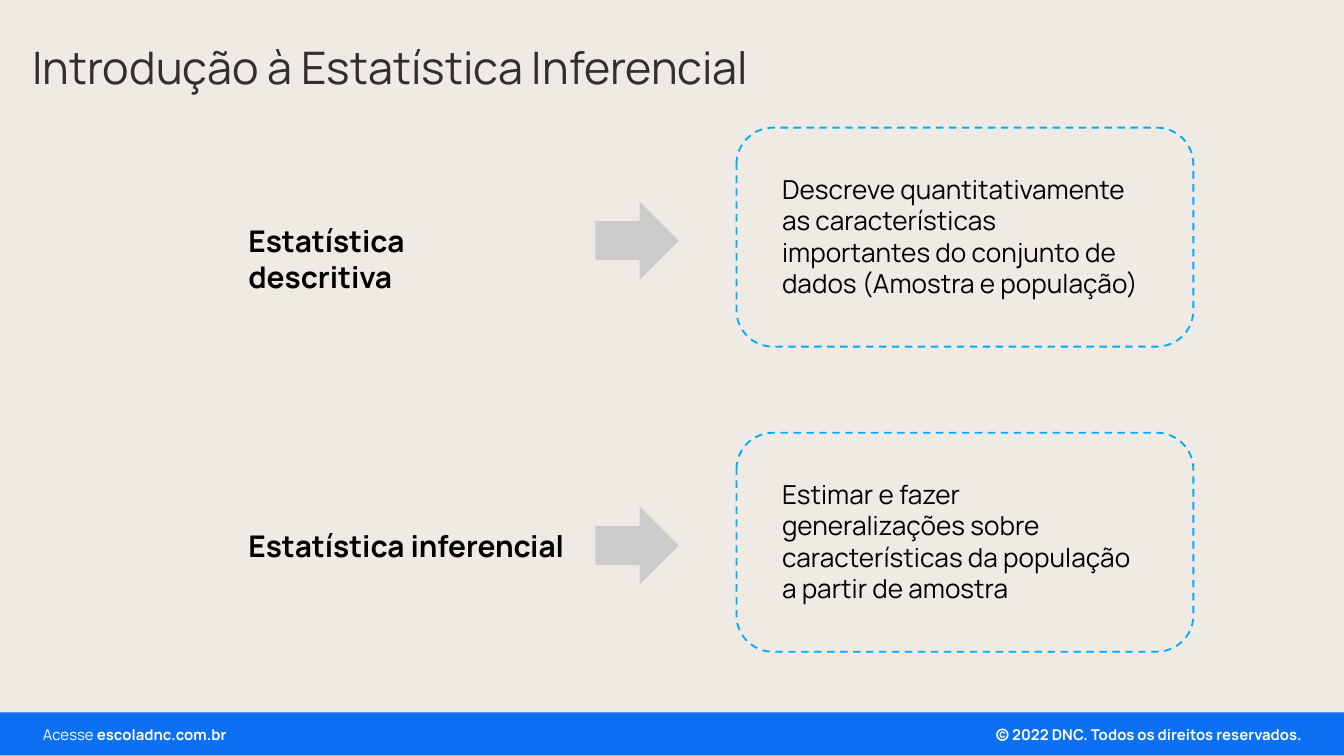
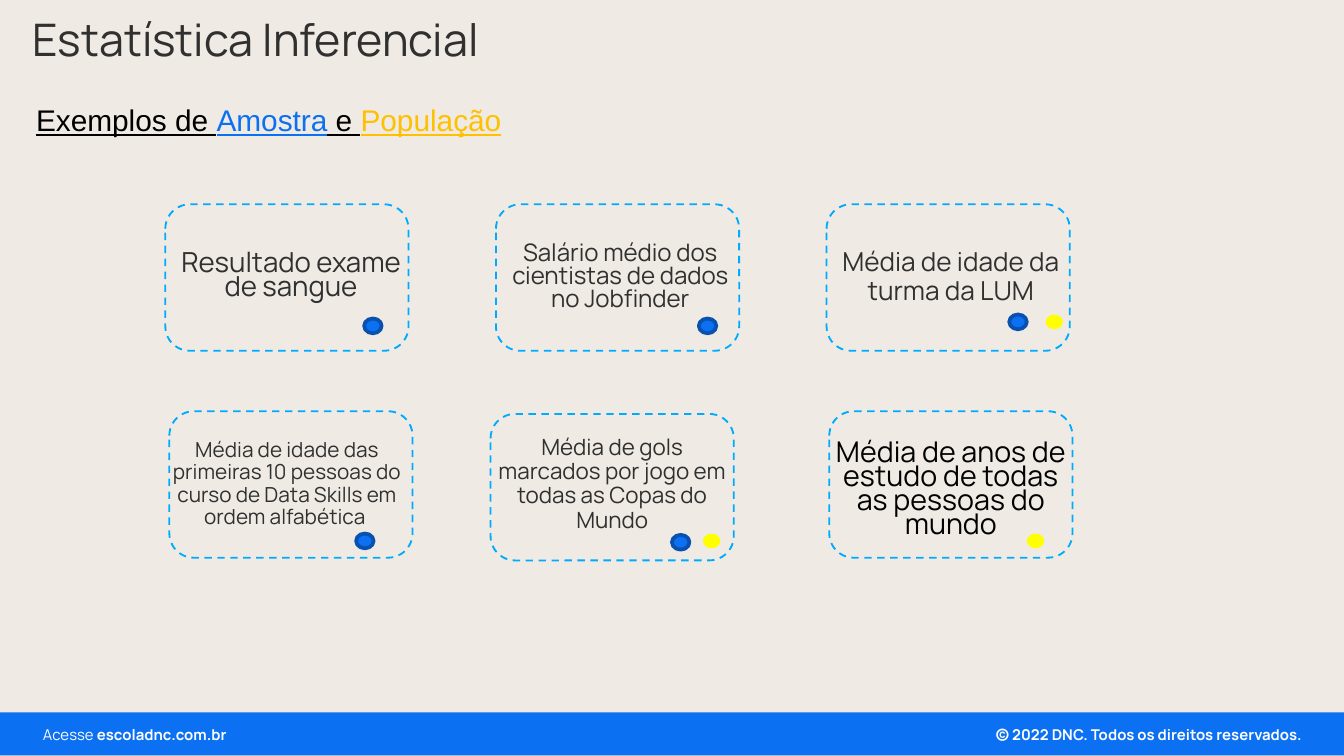
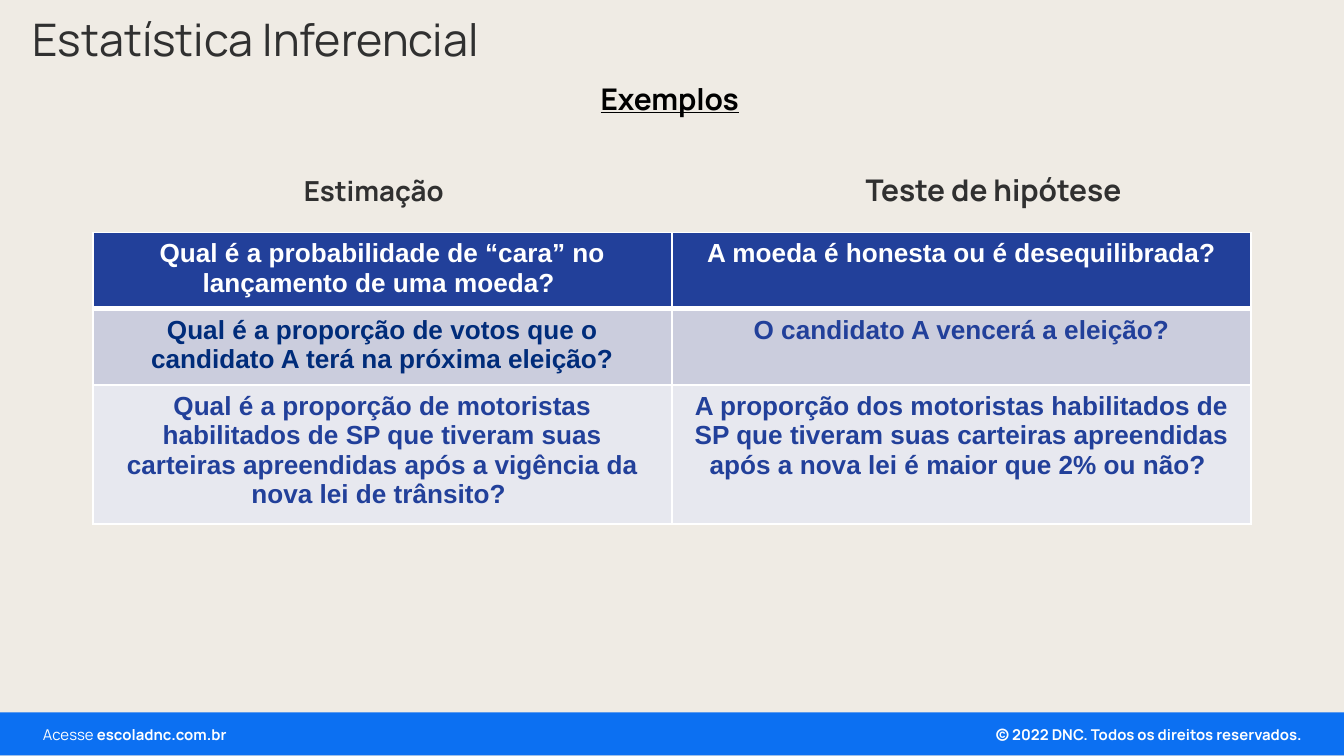
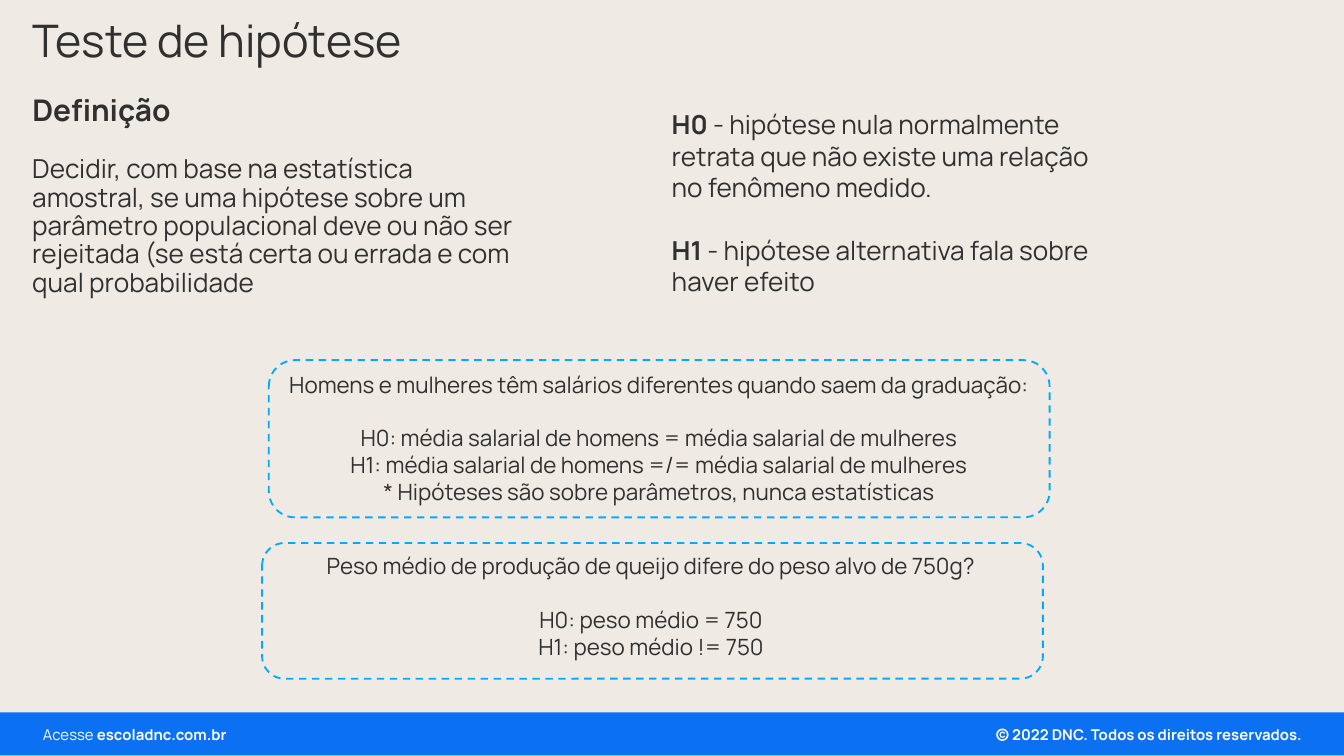
from lxml import etree
from pptx import Presentation
from pptx.dml.color import RGBColor
from pptx.enum.dml import MSO_LINE
from pptx.enum.shapes import MSO_SHAPE as SHAPE
from pptx.enum.text import MSO_ANCHOR as ANCHOR, MSO_AUTO_SIZE as AUTO, PP_ALIGN as ALIGN
from pptx.oxml.ns import qn
from pptx.util import Inches, Pt

FONT = "Manrope"
BG, BLUE, DARK, BLACK, WHITE = "EFEBE4", "0C70F2", "303030", "000000", "FFFFFF"
CYAN, GRAY, NAVY, YELLOW, GOLD = "00ABFF", "CBCBCB", "22409A", "FFFF00", "FFC000"
LINE_HEIGHT = 1.2


def rgb(value):
    return RGBColor.from_string(value)


def place(sp, left, top, width, height):
    sp.left, sp.top = Inches(left), Inches(top)
    sp.width, sp.height = Inches(width), Inches(height)


def style_font(font, size=None, color=None, bold=None, underline=None, name=None):
    if size:
        font.size = Pt(size)
    if color:
        font.color.rgb = rgb(color)
    if name:
        font.name = name
    if bold is not None:
        font.bold = bold
    if underline is not None:
        font.underline = underline


def set_margins(tf, x, y):
    tf.margin_left = tf.margin_right = Inches(x)
    tf.margin_top = tf.margin_bottom = Inches(y)


def write(tf, paragraphs, size, color=BLACK, bold=False, underline=None, name=FONT,
          align=ALIGN.LEFT, spacing=None, gap_before=()):
    for i, runs in enumerate(paragraphs):
        p = tf.paragraphs[0] if i == 0 else tf.add_paragraph()
        p.alignment = align
        if spacing:
            p.line_spacing = spacing
        if i in gap_before:
            p.space_before = Pt(size * LINE_HEIGHT)
        style_font(p.font, size, color, bold, underline, name)
        for text, changes in [(runs, {})] if isinstance(runs, str) else runs:
            r = p.add_run()
            r.text = text
            style_font(r.font, **changes)


def add_text(s, box, paragraphs, size, **style):
    tf = s.shapes.add_textbox(*map(Inches, box)).text_frame
    tf.word_wrap = True
    tf.auto_size = AUTO.SHAPE_TO_FIT_TEXT
    write(tf, paragraphs, size, **style)
    return tf


def add_label(s, box, text, size, color=DARK, spacing=0.9, **style):
    tf = add_text(s, box, [text], size, color=color, spacing=spacing, **style)
    tf.auto_size = AUTO.NONE
    tf.vertical_anchor = ANCHOR.MIDDLE
    set_margins(tf, 0.07, 0.04)


def add_shape(s, kind, box, fill=None, line=None, width=1):
    sp = s.shapes.add_shape(kind, *map(Inches, box))
    sp.shadow.inherit = False
    if fill:
        sp.fill.solid()
        sp.fill.fore_color.rgb = rgb(fill)
    else:
        sp.fill.background()
    if line:
        sp.line.color.rgb = rgb(line)
        sp.line.width = Pt(width)
    else:
        sp.line.fill.background()
    return sp


def add_frame(s, *box):
    sp = add_shape(s, SHAPE.ROUNDED_RECTANGLE, box, line=CYAN)
    sp.line.dash_style = MSO_LINE.DASH
    sp.adjustments[0] = 0.167


def add_dot(s, left, top, population=False):
    box = (left, top, 0.13, 0.11)
    if population:
        add_shape(s, SHAPE.OVAL, box, YELLOW)
    else:
        add_shape(s, SHAPE.OVAL, box, BLUE, "0851B0", 2)


def set_border(cell, side, width):
    ln = etree.SubElement(cell._tc.get_or_add_tcPr(), qn(f"a:ln{side}"), w=str(Pt(width)))
    fill = etree.SubElement(ln, qn("a:solidFill"))
    etree.SubElement(fill, qn("a:srgbClr"), val=WHITE)


def add_table(s, left, top, col_widths, row_heights, rows, fills, colors):
    shape = s.shapes.add_table(len(rows), len(col_widths), Inches(left), Inches(top),
                               Inches(sum(col_widths)), Inches(sum(row_heights)))
    table = shape.table
    for column, width in zip(table.columns, col_widths):
        column.width = Inches(width)
    for i, texts in enumerate(rows):
        table.rows[i].height = Inches(row_heights[i])
        for j, text in enumerate(texts):
            cell = table.cell(i, j)
            set_margins(cell, 0.1, 0.05)
            for side in "LRTB":
                set_border(cell, side, 3 if (i, side) in ((0, "B"), (1, "T")) else 1)
            cell.fill.solid()
            cell.fill.fore_color.rgb = rgb(fills[i])
            write(cell.text_frame, [text], 14, color=colors[i][j], bold=True,
                  name="Arial", align=ALIGN.CENTER)


def add_slide(prs, title, width, height=0.47):
    s = prs.slides.add_slide(prs.slide_layouts[5])
    place(s.shapes.title, 0.17, 0.08, width, height)
    tf = s.shapes.title.text_frame
    tf.auto_size = AUTO.NONE
    tf.word_wrap = True
    tf.vertical_anchor = ANCHOR.MIDDLE
    set_margins(tf, 0.07, 0.04)
    write(tf, [title], 24, color=DARK, spacing=0.9)
    return s


def add_footer_to_master(prs, s):
    first = len(s.shapes)
    add_shape(s, SHAPE.RECTANGLE, (0, 5.3, 10, 0.32), BLUE)
    notice = "© 2022 DNC. Todos os direitos reservados."
    site = [("Acesse ", {}), ("escoladnc.com.br", {"bold": True})]
    for tf in (
        add_text(s, (7.09, 5.36, 2.67, 0.21), [notice], 8, color=WHITE, bold=True,
                 align=ALIGN.RIGHT),
        add_text(s, (0.25, 5.36, 2.46, 0.21), [site], 8, color=WHITE),
    ):
        set_margins(tf, 0.07, 0.04)
    for sp in list(s.shapes)[first:]:
        prs.slide_master.shapes._spTree.append(sp._element)


def build_introduction(prs):
    s = add_slide(prs, "Introdução à Estatística Inferencial", 6.77, 0.88)
    add_footer_to_master(prs, s)
    branches = [
        ("Estatística descritiva", 2.46,
         "Descreve quantitativamente as características importantes do conjunto de dados "
         "(Amostra e população)"),
        ("Estatística inferencial", 2.58,
         "Estimar e fazer generalizações sobre características da população a partir de amostra"),
    ]
    for i, (name, width, meaning) in enumerate(branches):
        top = 0.95 + 2.27 * i
        add_text(s, (1.75, top + 0.66, width, 0.37), [name], 16, bold=True)
        add_shape(s, SHAPE.RIGHT_ARROW, (4.43, top + 0.55, 0.62, 0.58), GRAY)
        add_frame(s, 5.48, top, 3.4, 1.63)
        add_text(s, (5.72, top + 0.29, 2.91, 1.04), [meaning], 14)


def build_samples(prs):
    s = add_slide(prs, "Estatística Inferencial", 4.37)
    heading = [("Exemplos de ", {}), ("Amostra", {"color": BLUE}),
               (" e ", {}), ("População", {"color": GOLD})]
    add_text(s, (0.17, 0.71, 3.98, 0.37), [heading], 16, underline=True, name="Arial")
    upper, lower = (1.81, 0.65), (1.95, 0.87)
    cards = [
        (1.23, 1.52, (1.26, 1.74, *upper), "Resultado exame de sangue", 14.8, 0.7, DARK),
        (3.69, 1.52, (3.71, 1.74, *upper),
         "Salário médio dos cientistas de dados no Jobfinder", 12.9, 0.8, DARK),
        (6.15, 1.52, (6.17, 1.74, *upper), "Média de idade da turma da LUM", 14, 0.9, DARK),
        (1.26, 3.06, (1.16, 3.17, *lower),
         "Média de idade das primeiras 10 pessoas do curso de Data Skills em ordem alfabética ",
         11.1, 0.9, DARK),
        (3.65, 3.08, (3.58, 3.17, *lower),
         "Média de gols marcados por jogo em todas as Copas do Mundo", 12, 0.9, DARK),
        (6.17, 3.06, (6.1, 3.22, *lower),
         "Média de anos de estudo de todas as pessoas do mundo", 15.3, 0.7, BLACK),
    ]
    for left, top, box, text, size, spacing, color in cards:
        add_frame(s, left, top, 1.81, 1.09)
        add_label(s, box, text, size, color, spacing, align=ALIGN.CENTER)
    for left, top in ((2.71, 2.37), (5.2, 2.37), (7.51, 2.34), (2.65, 3.97), (5, 3.98)):
        add_dot(s, left, top)
    for left, top in ((5.23, 3.97), (7.64, 3.97), (7.78, 2.34)):
        add_dot(s, left, top, population=True)


def build_questions(prs):
    s = add_slide(prs, "Estatística Inferencial", 4.26)
    add_text(s, (4.37, 0.55, 1.27, 0.37), ["Exemplos"], 16, bold=True, underline=True)
    add_label(s, (2.19, 1.26, 1.22, 0.34), "Estimação", 14.8, bold=True)
    add_label(s, (6.37, 1.26, 2.36, 0.34), "Teste de hipótese", 16, bold=True)
    rows = [
        ("Qual é a probabilidade de “cara” no lançamento de uma moeda? ",
         "A moeda é honesta ou é desequilibrada?"),
        ("Qual é a proporção de votos que o candidato A terá na próxima eleição?",
         "O candidato A vencerá a eleição?"),
        ("Qual é a proporção de motoristas habilitados de SP que tiveram suas carteiras "
         "apreendidas após a vigência da nova lei de trânsito? ",
         "A proporção dos motoristas habilitados de SP que tiveram suas carteiras "
         "apreendidas após a nova lei é maior que 2% ou não? "),
    ]
    add_table(s, 0.69, 1.73, (4.31, 4.31), (0.55, 0.55, 0.78), rows,
              (NAVY, "CBCDDD", "E7E8EF"),
              ((WHITE, WHITE), ("002C7A", NAVY), (NAVY, NAVY)))


def build_hypotheses(prs):
    s = add_slide(prs, "Teste de hipótese", 4.4, 0.48)
    add_label(s, (0.17, 1.11, 3.74, 1.16),
              "Decidir, com base na estatística amostral, se uma hipótese sobre um parâmetro "
              "populacional deve ou não ser rejeitada (se está certa ou errada e com qual "
              "probabilidade", 14)
    add_label(s, (0.17, 0.66, 1.22, 0.34), "Definição", 16, bold=True)
    bold = {"bold": True}
    definitions = [
        [("H0 ", bold), ("- hipótese nula normalmente retrata que não existe uma relação "
                         "no fenômeno medido.", {})],
        [("H1", bold), (" - hipótese alternativa fala sobre haver efeito", {})],
    ]
    add_text(s, (4.9, 0.76, 3.37, 1.51), definitions, 14, color=DARK, gap_before=(1,))
    salaries = [
        "Homens e mulheres têm salários diferentes quando saem da graduação:",
        "H0: média salarial de homens = média salarial de mulheres",
        "H1: média salarial de homens =/= média salarial de mulheres",
        "* Hipóteses são sobre parâmetros, nunca estatísticas",
    ]
    cheese = [
        "Peso médio de produção de queijo difere do peso alvo de 750g?",
        "H0: peso médio = 750",
        "H1: peso médio != 750",
    ]
    for box, lines in (((2, 2.71, 5.81, 1.14), salaries), ((1.89, 4.06, 5.91, 0.91), cheese)):
        add_text(s, box, lines, 12, color=DARK, align=ALIGN.CENTER, gap_before=(1,))
    add_frame(s, 2, 2.68, 5.81, 1.17)
    add_frame(s, 1.95, 4.04, 5.81, 1.01)


def main():
    prs = Presentation()
    prs.slide_width = Inches(10)
    prs.slide_height = prs.slide_width * 9 // 16
    fill = prs.slide_master.background.fill
    fill.solid()
    fill.fore_color.rgb = rgb(BG)
    build_introduction(prs)
    build_samples(prs)
    build_questions(prs)
    build_hypotheses(prs)
    prs.save("out.pptx")


if __name__ == "__main__":
    main()
